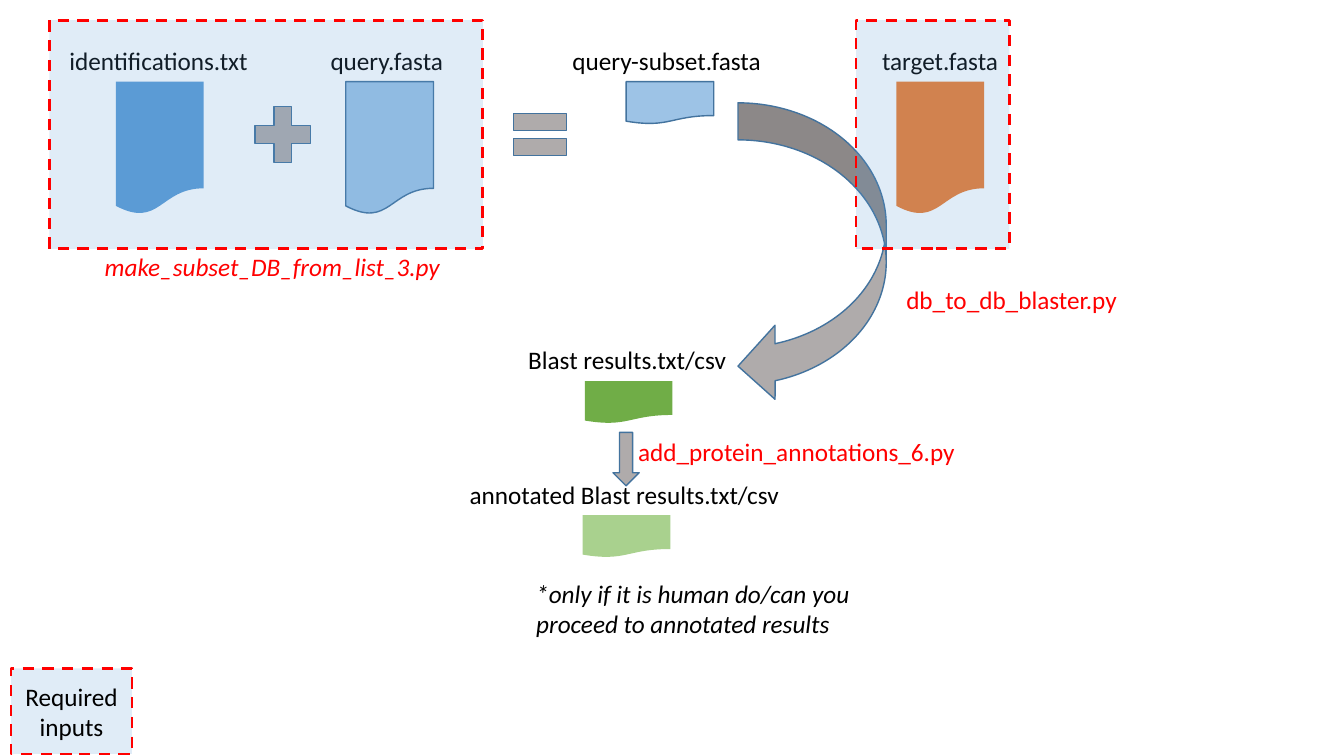
from pptx import Presentation
from pptx.dml.color import RGBColor
from pptx.enum.dml import MSO_LINE
from pptx.enum.shapes import MSO_SHAPE
from pptx.enum.text import MSO_ANCHOR, MSO_AUTO_SIZE, PP_ALIGN
from pptx.oxml.ns import qn
from pptx.util import Inches, Pt
from lxml.etree import SubElement

BLACK = RGBColor(0x00, 0x00, 0x00)
RED = RGBColor(0xFF, 0x00, 0x00)
BLUE = RGBColor(0x5B, 0x9B, 0xD5)
SKY = RGBColor(0x9D, 0xC3, 0xE6)
NAVY = RGBColor(0x43, 0x73, 0x9E)
ORANGE = RGBColor(0xED, 0x7D, 0x31)
GREEN = RGBColor(0x70, 0xAD, 0x47)
LIME = RGBColor(0xA9, 0xD1, 0x8E)
GRAY = RGBColor(0xAF, 0xAB, 0xAB)

TALL, SHORT = 1.32, 0.42


def write(frame, text, color=BLACK, italic=False):
    """Put one paragraph of styled text in a frame."""
    para = frame.paragraphs[0]
    para.text = text
    font = para.font
    font.name, font.size, font.italic = "Calibri", Pt(18), italic
    font.color.rgb = color
    return para


def add_label(slide, text, left, top, width, height=0.4, wrap=False, **style):
    """Add a text box, on one line unless wrap is set."""
    box = slide.shapes.add_textbox(*map(Inches, (left, top, width, height)))
    frame = box.text_frame
    frame.word_wrap = wrap
    frame.auto_size = MSO_AUTO_SIZE.SHAPE_TO_FIT_TEXT
    write(frame, text, **style)


def add_form(slide, kind, area, fill, line=None):
    """Add a filled preset shape with an optional thin outline."""
    form = slide.shapes.add_shape(kind, *map(Inches, area))
    form.shadow.inherit = False
    form.fill.solid()
    form.fill.fore_color.rgb = fill
    if line is None:
        form.line.fill.background()
    else:
        form.line.color.rgb = line
        form.line.width = Pt(1)
    return form


def add_frame(slide, area):
    """Add a clear blue box with a dashed red edge."""
    frame = add_form(slide, MSO_SHAPE.RECTANGLE, area, BLUE, RED)
    frame.line.width = Pt(2)
    frame.line.dash_style = MSO_LINE.DASH
    color = frame.fill._xPr.find(qn("a:solidFill"))[0]
    SubElement(color, qn("a:alpha")).set("val", "19000")
    return frame


def main():
    """Build the workflow slide."""
    deck = Presentation()
    deck.slide_width, deck.slide_height = Inches(13.33), Inches(7.5)
    slide = deck.slides.add_slide(deck.slide_layouts[6])

    # Each file: name, name left, top and width, icon left, top and height
    files = [
        ("identifications.txt", 0.59, 0.4, 2, 1.15, 0.81, TALL, BLUE, None),
        ("query.fasta", 3.18, 0.4, 1.33, 3.43, 0.81, TALL, SKY, NAVY),
        ("query-subset.fasta", 5.58, 0.4, 2.13, 6.21, 0.81, SHORT, SKY, NAVY),
        ("target.fasta", 8.65, 0.4, 1.36, 8.89, 0.81, TALL, ORANGE, None),
        ("Blast results.txt/csv", 5.14, 3.37, 2.18,
         5.8, 3.78, SHORT, GREEN, None),
        ("annotated Blast results.txt/csv", 4.56, 4.71, 3.3,
         5.78, 5.11, SHORT, LIME, None),
    ]
    for name, left, top, width, x, y, height, fill, line in files:
        add_label(slide, name, left, top, width)
        add_form(slide, MSO_SHAPE.FLOWCHART_DOCUMENT, (x, y, 0.87, height),
                 fill, line)

    signs = [
        (MSO_SHAPE.MATH_PLUS, (2.43, 0.96, 0.75, 0.75)),
        (MSO_SHAPE.MATH_EQUAL, (5, 0.98, 0.71, 0.71)),
        (MSO_SHAPE.CURVED_LEFT_ARROW, (7.32, 1.02, 1.47, 2.98)),
        (MSO_SHAPE.DOWN_ARROW, (6.08, 4.29, 0.26, 0.53)),
    ]
    for kind, area in signs:
        add_form(slide, kind, area, GRAY, NAVY)

    add_label(slide,
              "*only if it is human do/can you proceed to annotated results",
              5.22, 5.69, 3.43, 0.71, wrap=True, italic=True)

    for left, width in ((0.49, 4.3), (8.49, 1.52)):
        add_frame(slide, (left, 0.2, width, 2.27))
    key = add_frame(slide, (0.11, 6.63, 1.2, 0.85)).text_frame
    key.word_wrap = True
    key.vertical_anchor = MSO_ANCHOR.MIDDLE
    write(key, "Required inputs").alignment = PP_ALIGN.CENTER

    scripts = [
        ("make_subset_DB_from_list_3.py", 0.94, 2.44, 3.58, True),
        ("db_to_db_blaster.py", 8.89, 2.77, 2.31, False),
        ("add_protein_annotations_6.py", 6.23, 4.28, 3.38, False),
    ]
    for name, left, top, width, italic in scripts:
        add_label(slide, name, left, top, width, color=RED, italic=italic)

    deck.save("out.pptx")


main()
